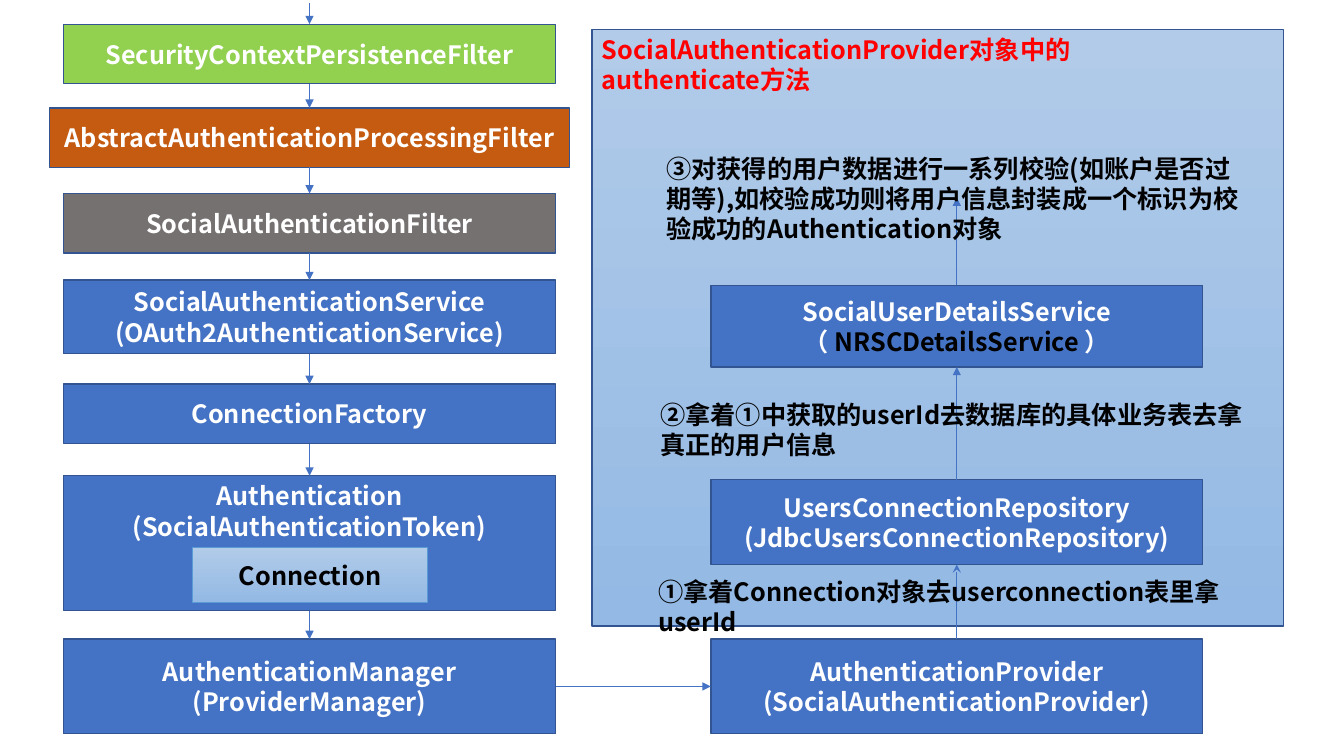
from itertools import pairwise

from lxml import etree
from pptx import Presentation
from pptx.dml.color import RGBColor
from pptx.enum.shapes import MSO_CONNECTOR, MSO_SHAPE
from pptx.enum.text import MSO_ANCHOR, PP_ALIGN
from pptx.oxml.ns import qn
from pptx.util import Inches, Pt

FONT = "Noto Sans CJK SC"
WHITE = RGBColor(0xFF, 0xFF, 0xFF)
BLACK = RGBColor(0x00, 0x00, 0x00)
RED = RGBColor(0xFF, 0x00, 0x00)
GREEN = RGBColor(0x92, 0xD0, 0x50)
ORANGE = RGBColor(0xC5, 0x5A, 0x11)
GRAY = RGBColor(0x76, 0x71, 0x71)
BLUE = RGBColor(0x44, 0x72, 0xC4)
DARK_BLUE = RGBColor(0x32, 0x54, 0x91)
SKY_BLUE = RGBColor(0x5B, 0x9B, 0xD5)
PALE_TOP = RGBColor(0xB1, 0xCB, 0xE9)
PALE_BOTTOM = RGBColor(0x93, 0xB9, 0xE4)

TOP, LEFT, BOTTOM, RIGHT = range(4)
BOX_WIDTH = 4.88
FLOW_LEFT, PROVIDER_LEFT = 0.63, 7.05
FLOW_CENTER = FLOW_LEFT + BOX_WIDTH / 2
PROVIDER_CENTER = PROVIDER_LEFT + BOX_WIDTH / 2

deck = Presentation()
deck.slide_width, deck.slide_height = Inches(13.33), Inches(7.5)
page = deck.slides.add_slide(deck.slide_layouts[6])
shapes = page.shapes


def add_box(text, left, top, width, height, fill=None, color=WHITE,
            align=PP_ALIGN.CENTER, anchor=MSO_ANCHOR.MIDDLE):
    """Add a bold-text rectangle; without a fill colour it gets the pale gradient."""
    box = shapes.add_shape(MSO_SHAPE.RECTANGLE, Inches(left), Inches(top),
                           Inches(width), Inches(height))
    box.shadow.inherit = False
    if fill is None:
        box.fill.gradient()
        box.fill.gradient_angle = 270
        for stop, shade in zip(box.fill.gradient_stops, (PALE_TOP, PALE_BOTTOM)):
            stop.color.rgb = shade
    else:
        box.fill.solid()
        box.fill.fore_color.rgb = fill
    box.line.color.rgb = DARK_BLUE
    box.line.width = Pt(1)
    box.text_frame.text = text
    box.text_frame.vertical_anchor = anchor
    for para in box.text_frame.paragraphs:
        para.alignment = align
        for span in para.runs:
            span.font.color.rgb = color
    return box


def add_arrow(start, end, start_box=None, end_box=None,
              sides=(BOTTOM, TOP), head="triangle"):
    """Draw an arrow between two points, joined to the given boxes."""
    arrow = shapes.add_connector(MSO_CONNECTOR.STRAIGHT,
                                 *(Inches(value) for value in (*start, *end)))
    if start_box is not None:
        arrow.begin_connect(start_box, sides[0])
    if end_box is not None:
        arrow.end_connect(end_box, sides[1])
    arrow.line.color.rgb = BLUE
    arrow.line.width = Pt(0.5)
    etree.SubElement(arrow.line._get_or_add_ln(), qn("a:tailEnd"), type=head)
    etree.SubElement(arrow._element.spPr, qn("a:effectLst"))


# Panel of the authenticate method
add_box("SocialAuthenticationProvider对象中的\nauthenticate方法", 5.87, 0.29, 6.86, 5.92,
        color=RED, align=PP_ALIGN.LEFT, anchor=MSO_ANCHOR.TOP)

# Filter chain on the left
flow_steps = [
    ("SecurityContextPersistenceFilter", 0.24, 0.59, GREEN),
    ("AbstractAuthenticationProcessingFilter", 1.07, 0.59, ORANGE),
    ("SocialAuthenticationFilter", 1.92, 0.59, GRAY),
    ("SocialAuthenticationService\n(OAuth2AuthenticationService)", 2.78, 0.73, BLUE),
    ("ConnectionFactory", 3.81, 0.59, BLUE),
    ("Authentication\n(SocialAuthenticationToken)", 4.72, 1.34, BLUE),
    ("AuthenticationManager\n(ProviderManager)", 6.34, 0.94, BLUE),
]
flow = []
for text, top, height, fill in flow_steps:
    width = 5.16 if fill == ORANGE else BOX_WIDTH
    flow.append(add_box(text, FLOW_CENTER - width / 2, top, width, height, fill))
token, manager = flow[-2:]
token.text_frame.vertical_anchor = MSO_ANCHOR.TOP
connection = add_box("Connection", 1.91, 5.43, 2.33, 0.55, color=BLACK)
connection.line.color.rgb = SKY_BLUE
connection.line.width = Pt(0.5)

# Provider chain on the right, from bottom to top
provider_steps = [
    ("AuthenticationProvider\n(SocialAuthenticationProvider)", 6.34, 0.94),
    ("UsersConnectionRepository\n(JdbcUsersConnectionRepository)", 4.76, 0.84),
    ("SocialUserDetailsService", 2.83, 0.81),
]
provider, repository, details = [
    add_box(text, PROVIDER_LEFT, top, BOX_WIDTH, height, BLUE)
    for text, top, height in provider_steps
]
service_name = details.text_frame.add_paragraph()
service_name.alignment = PP_ALIGN.CENTER
for text, color in (("（ ", WHITE), ("NRSCDetailsService ", BLACK), ("）", WHITE)):
    span = service_name.add_run()
    span.text = text
    span.font.color.rgb = color

# Arrows
origin = (0, 0)
add_arrow((FLOW_CENTER, 0.03), (FLOW_CENTER, 0.24), end_box=flow[0])
for upper, lower in pairwise(flow):
    add_arrow(origin, origin, upper, lower)
add_arrow(origin, origin, manager, provider, (RIGHT, LEFT))
add_arrow(origin, origin, provider, repository, (TOP, BOTTOM), "stealth")
add_arrow(origin, origin, repository, details, (TOP, BOTTOM))
add_arrow((PROVIDER_CENTER, 2.83), (PROVIDER_CENTER, 1.96), details, sides=(TOP, BOTTOM))

# Numbered notes
notes = [
    ("①拿着Connection对象去userconnection表里拿userId", 6.43, 5.67, 6.29, 0.4),
    ("②拿着①中获取的userId去数据库的具体业务表去拿真正的用户信息", 6.45, 3.91, 6.13, 0.71),
    ("③对获得的用户数据进行一系列校验(如账户是否过期等),如校验成功则将用户信息封装成"
     "一个标识为校验成功的Authentication对象", 6.51, 1.47, 6.01, 1.01),
]
for text, *place in notes:
    note = shapes.add_textbox(*(Inches(value) for value in place))
    note.text_frame.word_wrap = True
    note.text_frame.text = text
    note.text_frame.paragraphs[0].runs[0].font.color.rgb = BLACK

# One typeface for Latin and Chinese text
for shape in shapes:
    if shape.has_text_frame:
        for para in shape.text_frame.paragraphs:
            for span in para.runs:
                span.font.size = Pt(18)
                span.font.bold = True
                span.font.name = FONT
                latin = span.font._element.find(qn("a:latin"))
                latin.addnext(latin.makeelement(qn("a:ea"), {"typeface": FONT}))

deck.save("out.pptx")
